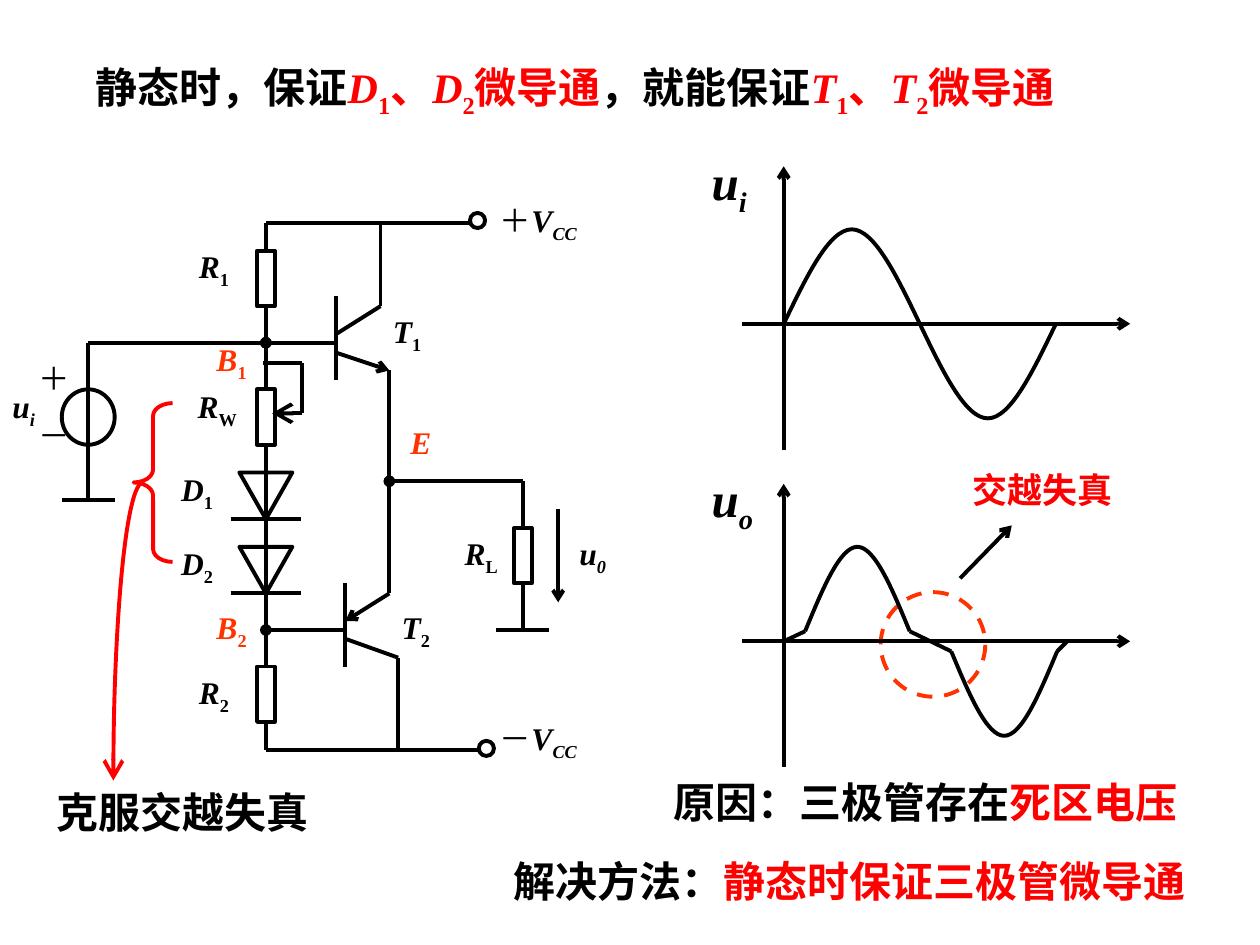
from dataclasses import dataclass
from typing import NamedTuple

import lxml.etree
import pptx
import pptx.dml.color
import pptx.enum.dml
import pptx.enum.shapes
import pptx.enum.text
import pptx.oxml.ns
import pptx.util


@dataclass(frozen=True)
class Theme:
    black: str = "000000"
    white: str = "FFFFFF"
    red: str = "FF0000"
    orange: str = "FF3300"
    font: str = "Times New Roman"
    label: int = 18
    callout: int = 20
    heading: int = 24
    axis: int = 28
    line: float = 2.25


THEME = Theme()
KIND = pptx.enum.shapes.MSO_SHAPE


class Run(NamedTuple):
    text: str
    color: str = THEME.black
    bold: bool = True
    italic: bool = False
    subscript: bool = False


class Wire(NamedTuple):
    start: tuple[float, float]
    end: tuple[float, float]
    head: str = ""
    tail: str = ""
    size: str = "med"


class Symbol(NamedTuple):
    kind: KIND
    left: float
    top: float
    width: float
    height: float
    color: str = THEME.black
    dashed: bool = False
    rotation: int = 0
    filled: bool = True
    adjustments: tuple[float, ...] = ()
    head: str = ""


class Label(NamedTuple):
    left: float
    top: float
    width: float
    paragraphs: list[list[Run]]
    size: int = THEME.label
    wrap: bool = True


def length(inches: float) -> pptx.util.Length:
    return pptx.util.Cm(inches * 2.54)


def rgb(color: str) -> pptx.dml.color.RGBColor:
    return pptx.dml.color.RGBColor.from_string(color)


def format_line(shape, color: str, head: str = "", tail: str = "", size: str = "med") -> None:
    shape.line.color.rgb = rgb(color)
    shape.line.width = pptx.util.Pt(THEME.line)
    for tag, kind in (("a:headEnd", head), ("a:tailEnd", tail)):
        if kind:
            lxml.etree.SubElement(shape.line._get_or_add_ln(), pptx.oxml.ns.qn(tag),
                                  type=kind, w=size, len=size)


def draw_wire(slide, wire: Wire) -> None:
    points = [length(value) for value in (*wire.start, *wire.end)]
    connector = slide.shapes.add_connector(pptx.enum.shapes.MSO_CONNECTOR.STRAIGHT, *points)
    format_line(connector, THEME.black, wire.head, wire.tail, wire.size)
    lxml.etree.SubElement(connector._element.spPr, pptx.oxml.ns.qn("a:effectLst"))


def draw_symbol(slide, symbol: Symbol) -> None:
    shape = slide.shapes.add_shape(symbol.kind, *[length(value) for value in symbol[1:5]])
    shape.shadow.inherit = False
    shape.rotation = symbol.rotation
    for index, value in enumerate(symbol.adjustments):
        shape.adjustments[index] = value
    if symbol.filled:
        shape.fill.solid()
        shape.fill.fore_color.rgb = rgb(THEME.white)
    else:
        shape.fill.background()
    format_line(shape, symbol.color, symbol.head, size="lg")
    if symbol.dashed:
        shape.line.dash_style = pptx.enum.dml.MSO_LINE.DASH


def draw_half_wave(slide, left: float, base: float, width: float, height: float) -> None:
    """One hump of two cubic curves; a positive height rises above the base."""
    levels = (0, 0.5, 1, 1, 1, 0.5, 0)
    points = [(length(left + width * step / 6), length(base - height * level))
              for step, level in enumerate(levels)]
    builder = slide.shapes.build_freeform(*points[0])
    builder.add_line_segments(points[1:], close=False)
    shape = builder.convert_to_shape()
    # Each three straight segments become one cubic curve
    segments = list(shape._element.spPr.iter(pptx.oxml.ns.qn("a:lnTo")))
    for start in range(0, len(segments), 3):
        outline = segments[start].getparent()
        curve = lxml.etree.SubElement(outline, pptx.oxml.ns.qn("a:cubicBezTo"))
        for segment in segments[start:start + 3]:
            curve.append(segment[0])
            outline.remove(segment)
    shape.shadow.inherit = False
    shape.fill.background()
    format_line(shape, THEME.black)


def write_text(frame, paragraphs: list[list[Run]], size: int) -> None:
    for index, runs in enumerate(paragraphs):
        paragraph = frame.add_paragraph() if index else frame.paragraphs[0]
        paragraph.alignment = pptx.enum.text.PP_ALIGN.LEFT
        paragraph.space_before = pptx.util.Pt(11.2 if index else 0)
        for item in runs:
            run = paragraph.add_run()
            run.text = item.text
            values = {"name": THEME.font, "size": pptx.util.Pt(size),
                      "bold": item.bold, "italic": item.italic}
            for name, value in values.items():
                setattr(run.font, name, value)
            run.font.color.rgb = rgb(item.color)
            if item.subscript:
                run._r.get_or_add_rPr().set("baseline", "-25000")


def draw_label(slide, label: Label) -> None:
    box = slide.shapes.add_textbox(length(label.left), length(label.top),
                                   length(label.width), length(0.44))
    box.text_frame.word_wrap = label.wrap
    box.text_frame.auto_size = pptx.enum.text.MSO_AUTO_SIZE.SHAPE_TO_FIT_TEXT
    write_text(box.text_frame, label.paragraphs, label.size)


def quantity(letter: str, mark: str, color: str = THEME.black, italic: bool = False) -> list[Run]:
    return [Run(letter, color, italic=True), Run(mark, color, italic=italic, subscript=True)]


def draw_title(slide) -> None:
    title = slide.shapes.title
    place = {"left": 0.66, "top": 0.44, "width": 8.9, "height": 0.56}
    for attribute, value in place.items():
        setattr(title, attribute, length(value))
    frame_format = {"word_wrap": True, "auto_size": pptx.enum.text.MSO_AUTO_SIZE.NONE,
                    "vertical_anchor": pptx.enum.text.MSO_ANCHOR.TOP}
    for attribute, value in frame_format.items():
        setattr(title.text_frame, attribute, value)
    pairs = [[*quantity(letter, "1", THEME.red), Run("、", THEME.red),
              *quantity(letter, "2", THEME.red), Run("微导通", THEME.red)] for letter in "DT"]
    runs = [Run("静态时，保证"), *pairs[0], Run("，就能保证"), *pairs[1]]
    write_text(title.text_frame, [runs], THEME.heading)


def draw_graphs(slide) -> None:
    draw_symbol(slide, Symbol(KIND.OVAL, 6.99, 4.7, 0.83, 0.83, THEME.orange, dashed=True))
    for base, mark in ((2.57, "i"), (5.09, "o")):
        draw_wire(slide, Wire((5.89, base), (8.97, base), tail="arrow"))
        draw_wire(slide, Wire((6.22, base - 1.25), (6.22, base + 1), head="arrow"))
        draw_label(slide, Label(5.55, base - 1.42, 1, [quantity("u", mark, italic=True)], THEME.axis))
    # Input sine, then output with crossover distortion
    for wave in ((6.22, 2.57, 1.08, 0.75), (7.3, 2.57, 1.08, -0.75),
                 (6.39, 5.01, 0.83, 0.67), (7.55, 5.17, 0.84, -0.67)):
        draw_half_wave(slide, *wave)
    for wire in (Wire((6.22, 5.09), (6.39, 5.09)), Wire((6.22, 5.09), (6.39, 5.01)),
                 Wire((7.22, 5.01), (7.55, 5.17)), Wire((8.39, 5.17), (8.47, 5.09)),
                 Wire((7.62, 4.59), (8.03, 4.17), tail="arrow")):
        draw_wire(slide, wire)


def draw_circuit(slide) -> None:
    # Diodes and source lie under the wires
    for top in (3.75, 4.34):
        draw_symbol(slide, Symbol(KIND.ISOSCELES_TRIANGLE, 1.9, top, 0.42, 0.37, rotation=180))
        draw_wire(slide, Wire((1.83, top + 0.37), (2.39, top + 0.37)))
    draw_symbol(slide, Symbol(KIND.OVAL, 0.49, 3.09, 0.42, 0.44))
    bias, output, load, wiper = 2.11, 3.09, 4.15, 2.4
    wires = [
        # Transistor T1
        Wire((3.02, 1.77), (3.02, 2.43)), Wire((3.02, 2.43), (2.67, 2.65)),
        Wire((2.67, 2.35), (2.67, 3.02)), Wire((2.67, 2.8), (output, 2.94), tail="arrow"),
        # Transistor T2
        Wire((output, 4.71), (2.74, 4.93), tail="arrow"), Wire((2.74, 4.63), (2.74, 5.29)),
        Wire((2.74, 5.07), (3.16, 5.22)), Wire((3.16, 5.22), (3.16, 5.95)),
        # Bias branch and supply rails
        Wire((2.67, 2.72), (bias, 2.72)), Wire((2.74, 5), (bias, 5)),
        Wire((bias, 2.72), (bias, 5), "oval", "oval"),
        Wire((bias, 1.77), (3.73, 1.77)), Wire((bias, 5.95), (3.8, 5.95)),
        Wire((bias, 2.72), (bias, 1.77)), Wire((bias, 5), (bias, 5.95)),
        # Input source
        Wire((bias, 2.72), (0.7, 2.72), head="oval"), Wire((0.7, 2.72), (0.7, 3.97)),
        Wire((0.49, 3.97), (0.91, 3.97)),
        # Output and load
        Wire((output, 2.94), (output, 3.82)), Wire((output, 3.82), (output, 4.71)),
        Wire((output, 3.82), (load, 3.82), head="oval"), Wire((load, 3.82), (load, 5)),
        Wire((3.94, 5), (4.36, 5)), Wire((4.43, 4.04), (4.43, 4.78), tail="arrow"),
    ]
    for wire in wires:
        draw_wire(slide, wire)
    for left, top in ((2.04, 1.99), (2.04, 3.09), (2.04, 5.29), (4.08, 4.19)):
        draw_symbol(slide, Symbol(KIND.RECTANGLE, left, top, 0.14, 0.44))
    for left, top in ((3.73, 1.69), (3.8, 5.88)):
        draw_symbol(slide, Symbol(KIND.OVAL, left, top, 0.12, 0.12))
    for wire in (Wire((2.09, 2.88), (wiper, 2.88)), Wire((wiper, 2.88), (wiper, 3.28)),
                 Wire((wiper, 3.28), (2.16, 3.28), tail="arrow", size="lg")):
        draw_wire(slide, wire)
    # Brace round the diodes, and a quarter arc from 180 to 270 degrees
    for symbol in (
        Symbol(KIND.LEFT_BRACE, 1.06, 3.2, 0.31, 1.26, THEME.red, filled=False, adjustments=(0.33,)),
        Symbol(KIND.ARC, 0.9, 3.83, 0.47, 4.73, THEME.red, filled=False,
               adjustments=(108, 162), head="arrow"),
    ):
        draw_symbol(slide, symbol)


def draw_labels(slide) -> None:
    for left, top, letter, mark in ((3.02, 2.43, "T", "1"), (3.09, 4.78, "T", "2"),
                                    (1.34, 3.68, "D", "1"), (1.34, 4.27, "D", "2"),
                                    (1.48, 1.91, "R", "1"), (1.48, 5.29, "R", "2"),
                                    (1.47, 3.02, "R", "W"), (3.59, 4.19, "R", "L")):
        draw_label(slide, Label(left, top, 0.63, [quantity(letter, mark)]))
    for top, mark in ((2.65, "1"), (4.78, "2")):
        draw_label(slide, Label(1.62, top, 0.63, [quantity("B", mark, THEME.orange)]))
    for top, sign in ((1.55, "＋"), (5.66, "－")):
        supply = [Run(sign, bold=False), *quantity("V", "CC", italic=True)]
        draw_label(slide, Label(3.87, top, 1.27, [supply]))
    for label in (
        Label(0.21, 2.8, 0.7, [[Run("＋", bold=False)], [Run("－", bold=False)]]),
        Label(0, 3.02, 0.84, [quantity("u", "i", italic=True)]),
        Label(4.5, 4.19, 0.84, [quantity("u", "0", italic=True)]),
        Label(3.16, 3.31, 0.63, [[Run("E", THEME.orange, italic=True)]]),
        Label(7.62, 3.67, 1.58, [[Run("交越失真", THEME.red)]], THEME.callout),
        Label(5.25, 6.11, 4.2, [[Run("原因：三极管存在"), Run("死区电压", THEME.red)]],
              THEME.heading, wrap=False),
        Label(3.98, 6.74, 5.83, [[Run("解决方法："), Run("静态时保证三极管微导通", THEME.red)]],
              THEME.heading),
        Label(0.35, 6.19, 2.6, [[Run("克服交越失真")]], THEME.heading),
    ):
        draw_label(slide, label)


def main() -> None:
    presentation = pptx.Presentation()
    presentation.slide_width, presentation.slide_height = length(10), length(7.5)
    slide = presentation.slides.add_slide(presentation.slide_layouts[5])
    for draw in (draw_title, draw_graphs, draw_circuit, draw_labels):
        draw(slide)
    presentation.save("out.pptx")


if __name__ == "__main__":
    main()
